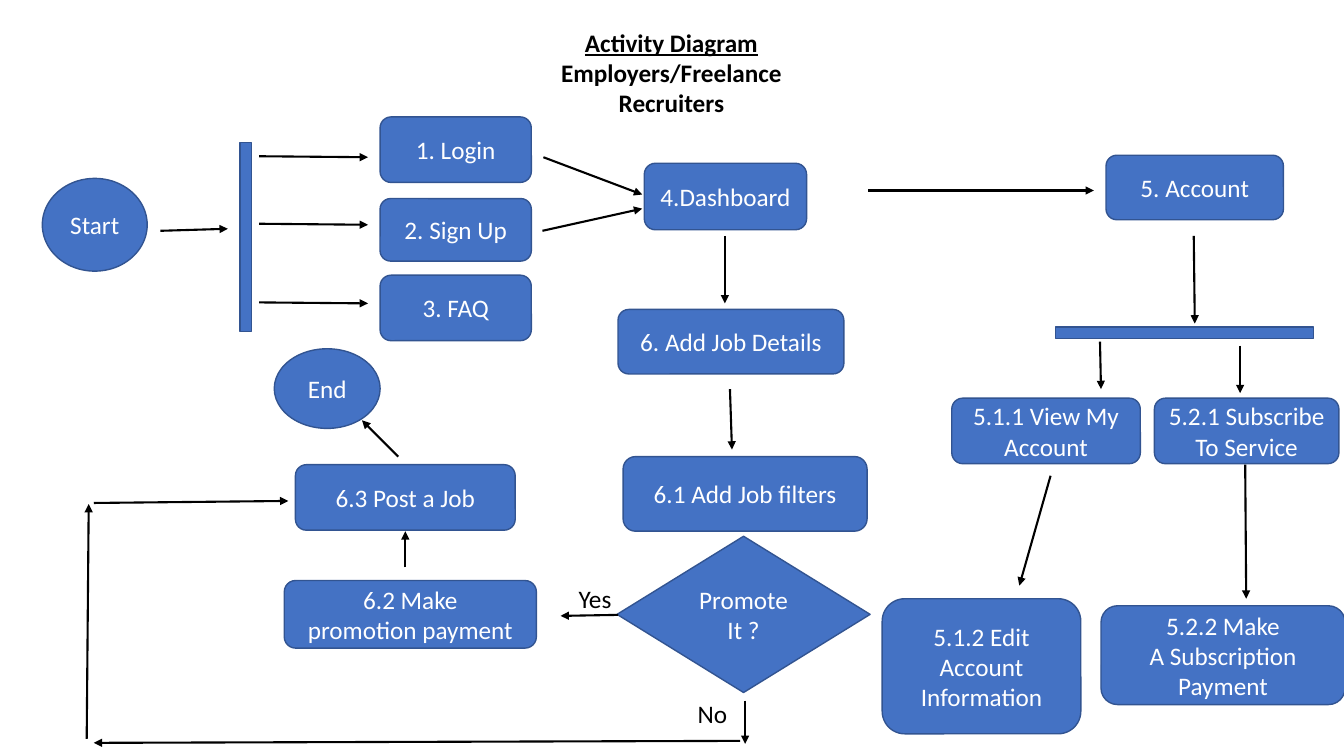
from pptx import Presentation
from pptx.dml.color import RGBColor
from pptx.enum.shapes import MSO_CONNECTOR, MSO_SHAPE
from pptx.enum.text import MSO_ANCHOR, PP_ALIGN
from pptx.oxml.ns import qn
from pptx.util import Inches, Pt
from lxml import etree

ROUND = MSO_SHAPE.ROUNDED_RECTANGLE
OVAL = MSO_SHAPE.OVAL
DIAMOND = MSO_SHAPE.FLOWCHART_DECISION
MINUS = MSO_SHAPE.MATH_MINUS
STRAIGHT = MSO_CONNECTOR.STRAIGHT
CENTER, LEFT = PP_ALIGN.CENTER, PP_ALIGN.LEFT
MIDDLE = MSO_ANCHOR.MIDDLE
BLUE, EDGE, WHITE, BLACK = "4472C4", "325491", "FFFFFF", "000000"


def color(code):
    """Turn a hex string into a colour."""
    return RGBColor.from_string(code)


def write(para, text, code, align):
    """Add one 18 point run to a paragraph and return its font."""
    para.alignment = align
    run = para.add_run()
    run.text = text
    run.font.name = "Calibri"
    run.font.size = Pt(18)
    run.font.color.rgb = color(code)
    return run.font


deck = Presentation()
deck.slide_width, deck.slide_height = Inches(13.33), Inches(7.5)
slide = deck.slides.add_slide(deck.slide_layouts[6])
shapes = slide.shapes

# Steps and fork bars: kind, left, top, width, height, turn, text
steps = [
    (OVAL, 0.42, 1.77, 1.04, 0.92, 0, "Start"),
    (MINUS, 1.16, 2.11, 2.55, 0.48, 90, ""),
    (ROUND, 3.77, 1.16, 1.5, 0.65, 0, "1. Login"),
    (ROUND, 3.77, 1.97, 1.5, 0.62, 0, "2. Sign Up"),
    (ROUND, 3.77, 2.73, 1.5, 0.65, 0, "3. FAQ"),
    (ROUND, 6.39, 1.62, 1.61, 0.66, 0, "4.Dashboard"),
    (ROUND, 10.97, 1.54, 1.76, 0.64, 0, "5. Account"),
    (MINUS, 10.01, 3.06, 3.48, 0.48, 0, ""),
    (ROUND, 9.44, 3.95, 1.87, 0.65, 0, "5.1.1 View My Account"),
    (ROUND, 8.75, 5.94, 1.97, 1.34, 0, "5.1.2 Edit Account Information"),
    (ROUND, 11.45, 3.95, 1.83, 0.65, 0, "5.2.1 Subscribe To\u00a0Service"),
    (ROUND, 10.92, 6.01, 2.42, 0.98, 0,
     "5.2.2 Make A\u00a0Subscription Payment"),
    (ROUND, 6.13, 3.07, 2.24, 0.64, 0, "6. Add\u00a0Job Details"),
    (ROUND, 6.18, 4.53, 2.42, 0.74, 0, "6.1 Add Job filters"),
    (DIAMOND, 6.12, 5.32, 2.51, 1.55, 0, "Promote It ?"),
    (ROUND, 2.82, 5.76, 2.5, 0.67, 0, "6.2 Make promotion\u00a0payment"),
    (ROUND, 2.93, 4.61, 2.18, 0.65, 0, "6.3 Post\u00a0a Job"),
    (OVAL, 2.72, 3.46, 1.05, 0.79, 0, "End"),
]
for kind, left, top, width, height, turn, text in steps:
    step = shapes.add_shape(kind, Inches(left), Inches(top),
                            Inches(width), Inches(height))
    step.rotation = turn
    step.shadow.inherit = False
    step.fill.solid()
    step.fill.fore_color.rgb = color(BLUE)
    step.line.color.rgb = color(EDGE)
    step.line.width = Pt(1)
    if text:
        frame = step.text_frame
        frame.word_wrap = True
        frame.vertical_anchor = MIDDLE
        write(frame.paragraphs[0], text, WHITE, CENTER)

# Arrows: from x, from y, to x, to y
arrows = [
    (1.59, 2.29, 2.26, 2.27),
    (2.57, 1.55, 3.65, 1.56),
    (2.57, 2.22, 3.65, 2.23),
    (2.57, 3, 3.65, 3.01),
    (5.39, 1.56, 6.37, 1.93),
    (5.38, 2.29, 6.37, 2.07),
    (8.61, 1.89, 10.85, 1.89),
    (11.84, 2.34, 11.85, 3.21),
    (10.91, 3.39, 10.92, 3.86),
    (12.3, 3.43, 12.3, 3.9),
    (10.42, 4.72, 10.11, 5.81),
    (12.35, 4.61, 12.36, 5.94),
    (7.19, 2.34, 7.19, 3.01),
    (7.24, 3.86, 7.26, 4.46),
    (6.13, 6.1, 5.56, 6.11),
    (7.39, 6.95, 7.39, 7.38),
    (7.34, 7.35, 0.93, 7.37),
    (0.86, 7.33, 0.88, 5),
    (0.93, 4.99, 2.86, 4.97),
    (4.02, 5.63, 4.02, 5.27),
    (3.95, 4.53, 3.59, 4.17),
]
for ends in arrows:
    arrow = shapes.add_connector(STRAIGHT, *[Inches(end) for end in ends])
    arrow.line.color.rgb = color(BLACK)
    arrow.line.width = Pt(1.5)
    props = arrow.element.spPr
    etree.SubElement(props.find(qn("a:ln")), qn("a:tailEnd"), type="triangle")
    etree.SubElement(props, qn("a:effectLst"))

# Title and branch labels: left, top, height, align, bold, lines
labels = [
    (5.16, 0.22, 1.31, CENTER, True,
     ["Activity Diagram", "Employers/Freelance Recruiters"]),
    (5.64, 5.74, 0.4, LEFT, False, ["Yes"]),
    (6.82, 6.88, 0.4, LEFT, False, ["No"]),
]
for left, top, height, align, bold, lines in labels:
    box = shapes.add_textbox(Inches(left), Inches(top),
                             Inches(3), Inches(height))
    frame = box.text_frame
    frame.word_wrap = True
    for row, text in enumerate(lines):
        para = frame.add_paragraph() if row else frame.paragraphs[0]
        font = write(para, text, BLACK, align)
        font.bold = bold
        font.underline = bold and row == 0

deck.save("out.pptx")
